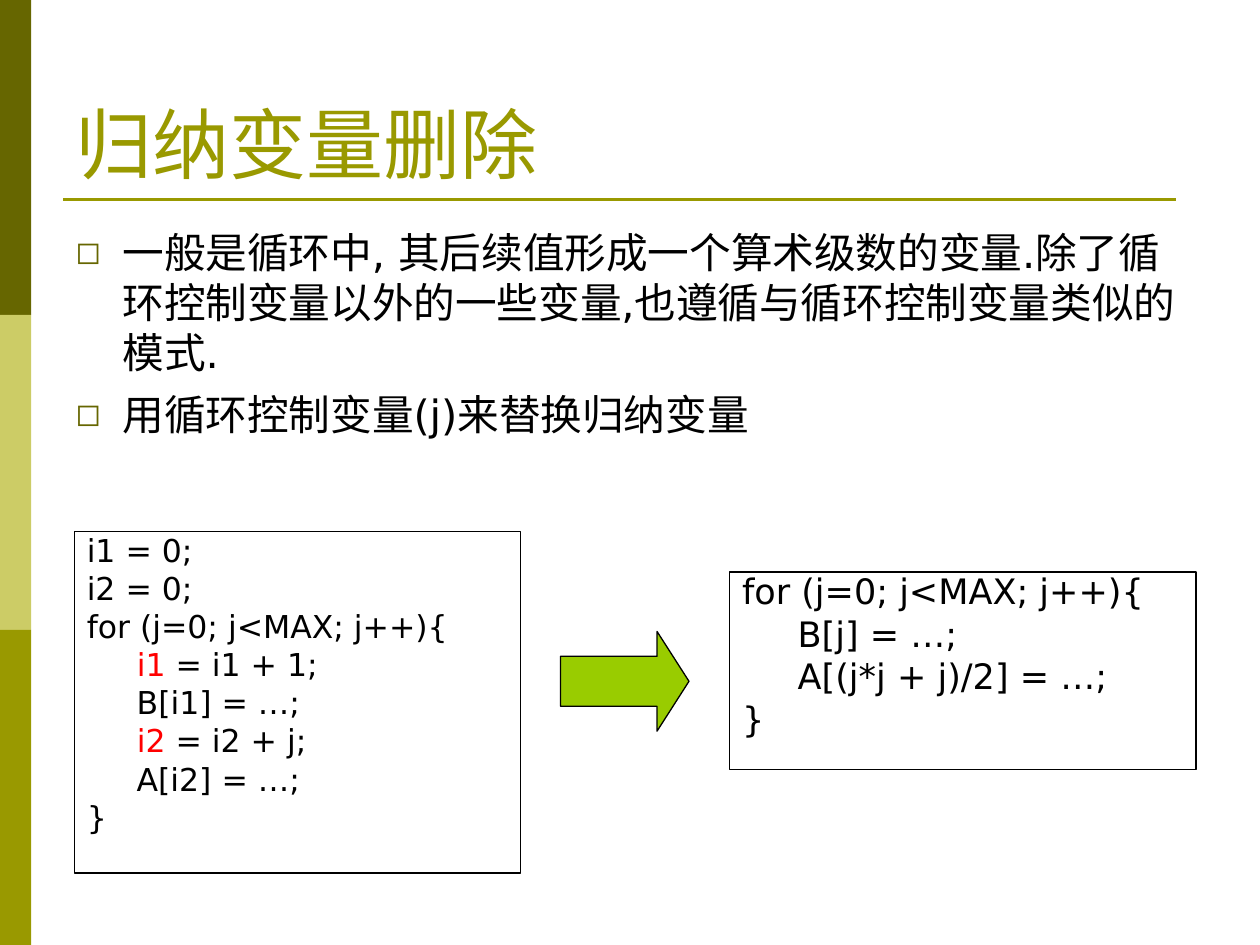
from dataclasses import dataclass

from lxml import etree
from pptx import Presentation
from pptx.dml.color import RGBColor
from pptx.enum.shapes import MSO_CONNECTOR, MSO_SHAPE
from pptx.enum.text import MSO_ANCHOR, PP_ALIGN
from pptx.oxml.ns import qn
from pptx.util import Cm, Pt

RECTANGLE = MSO_SHAPE.RECTANGLE
RIGHT_ARROW = MSO_SHAPE.RIGHT_ARROW
STRAIGHT = MSO_CONNECTOR.STRAIGHT
BOTTOM = MSO_ANCHOR.BOTTOM
LEFT = PP_ALIGN.LEFT
TITLE_ONLY = 5


@dataclass(frozen=True)
class Theme:
    dark_olive: RGBColor = RGBColor(0x66, 0x66, 0x00)
    pale_olive: RGBColor = RGBColor(0xCC, 0xCC, 0x66)
    olive: RGBColor = RGBColor(0x99, 0x99, 0x00)
    arrow: RGBColor = RGBColor(0x99, 0xCC, 0x00)
    ink: RGBColor = RGBColor(0, 0, 0)
    highlight: RGBColor = RGBColor(0xFF, 0, 0)
    title_font: str = "Times New Roman"
    body_font: str = "DejaVu Sans"
    title_size: float = 44
    bullet_size: float = 23.8
    before_size: float = 18
    after_size: float = 20
    thin_line: float = 0.75
    rule_line: float = 1.5


THEME = Theme()
HANGING_INDENT = Cm(0.95)

TITLE = "归纳变量删除"
POINTS = [
    "一般是循环中, 其后续值形成一个算术级数的变量.除了循环控制变量以外的一些变量,"
    "也遵循与循环控制变量类似的模式.",
    "用循环控制变量(j)来替换归纳变量",
]
# Each line is a list of pieces; every second piece is highlighted.
CODE_BEFORE = [
    ["i1 = 0;"],
    ["i2 = 0;"],
    ["for (j=0; j<MAX; j++){"],
    ["     ", "i1", " = i1 + 1;"],
    ["     B[i1] = …;"],
    ["     ", "i2", " = i2 + j;"],
    ["     A[i2] = …;"],
    ["}"],
]
CODE_AFTER = [
    ["for (j=0; j<MAX; j++){"],
    ["     B[j] = …;"],
    ["     A[(j*j + j)/2] = …;"],
    ["}"],
]


def style_run(run, font_name, size, color):
    run.font.name = font_name
    run.font.size = Pt(size)
    run.font.color.rgb = color


def add_hanging_paragraph(frame, index, space_before):
    paragraph = frame.paragraphs[0] if index == 0 else frame.add_paragraph()
    paragraph.alignment = LEFT
    paragraph.space_before = Pt(space_before if index else 0)
    properties = paragraph._p.get_or_add_pPr()
    properties.set("marL", str(HANGING_INDENT))
    properties.set("indent", str(-HANGING_INDENT))
    return paragraph


def add_bullet(paragraph):
    properties = paragraph._p.get_or_add_pPr()
    color = etree.SubElement(properties, qn("a:buClr"))
    etree.SubElement(color, qn("a:srgbClr"), val=str(THEME.dark_olive))
    etree.SubElement(properties, qn("a:buSzPct"), val="75000")
    etree.SubElement(properties, qn("a:buFont"), typeface=THEME.body_font)
    etree.SubElement(properties, qn("a:buChar"), char="◻")


def add_side_bands(slide, slide_height):
    band_height = slide_height // 3
    colors = (THEME.dark_olive, THEME.pale_olive, THEME.olive)
    for row, color in enumerate(colors):
        band = slide.shapes.add_shape(
            RECTANGLE, 0, row * band_height, Cm(0.63), band_height)
        band.shadow.inherit = False
        band.fill.solid()
        band.fill.fore_color.rgb = color
        band.line.fill.background()


def add_title_rule(slide):
    rule = slide.shapes.add_connector(
        STRAIGHT, Cm(1.27), Cm(4.02), Cm(23.7), Cm(4.02))
    rule.line.color.rgb = THEME.olive
    rule.line.width = Pt(THEME.rule_line)
    etree.SubElement(rule._element.spPr, qn("a:effectLst"))


def set_title(slide):
    title = slide.shapes.title
    title.left, title.top = Cm(1.27), Cm(0.76)
    title.width, title.height = Cm(22.86), Cm(3.18)
    frame = title.text_frame
    frame.text = TITLE
    frame.vertical_anchor = BOTTOM
    heading = frame.paragraphs[0]
    heading.alignment = LEFT
    style_run(heading.runs[0], THEME.title_font, THEME.title_size, THEME.olive)


def add_points(slide):
    box = slide.shapes.add_textbox(Cm(1.27), Cm(4.45), Cm(22.86), Cm(4.67))
    frame = box.text_frame
    frame.word_wrap = True
    for index, point in enumerate(POINTS):
        paragraph = add_hanging_paragraph(frame, index, space_before=7)
        paragraph.text = point
        add_bullet(paragraph)
        style_run(paragraph.runs[0], THEME.body_font, THEME.bullet_size,
                  THEME.ink)


def add_code_box(slide, left, top, width, height, lines, size):
    box = slide.shapes.add_textbox(left, top, width, height)
    box.line.color.rgb = THEME.ink
    box.line.width = Pt(THEME.thin_line)
    frame = box.text_frame
    frame.word_wrap = True
    for index, pieces in enumerate(lines):
        paragraph = add_hanging_paragraph(frame, index, space_before=size / 4)
        paragraph.line_spacing = 0.8
        for position, piece in enumerate(pieces):
            run = paragraph.add_run()
            run.text = piece
            color = THEME.highlight if position % 2 else THEME.ink
            style_run(run, THEME.body_font, size, color)


def add_arrow(slide):
    arrow = slide.shapes.add_shape(
        RIGHT_ARROW, Cm(11.3), Cm(12.73), Cm(2.59), Cm(2.01))
    arrow.adjustments[0] = 0.5
    arrow.adjustments[1] = 0.32
    arrow.shadow.inherit = False
    arrow.fill.solid()
    arrow.fill.fore_color.rgb = THEME.arrow
    arrow.line.color.rgb = THEME.ink
    arrow.line.width = Pt(THEME.thin_line)


def main():
    presentation = Presentation()
    presentation.slide_width = Cm(25.4)
    presentation.slide_height = Cm(19.05)
    slide = presentation.slides.add_slide(
        presentation.slide_layouts[TITLE_ONLY])

    add_side_bands(slide, presentation.slide_height)
    add_title_rule(slide)
    set_title(slide)
    add_code_box(slide, Cm(1.5), Cm(10.72), Cm(9), Cm(6.88),
                 CODE_BEFORE, THEME.before_size)
    add_code_box(slide, Cm(14.71), Cm(11.53), Cm(9.4), Cm(3.99),
                 CODE_AFTER, THEME.after_size)
    add_arrow(slide)
    add_points(slide)
    presentation.save("out.pptx")


if __name__ == "__main__":
    main()
